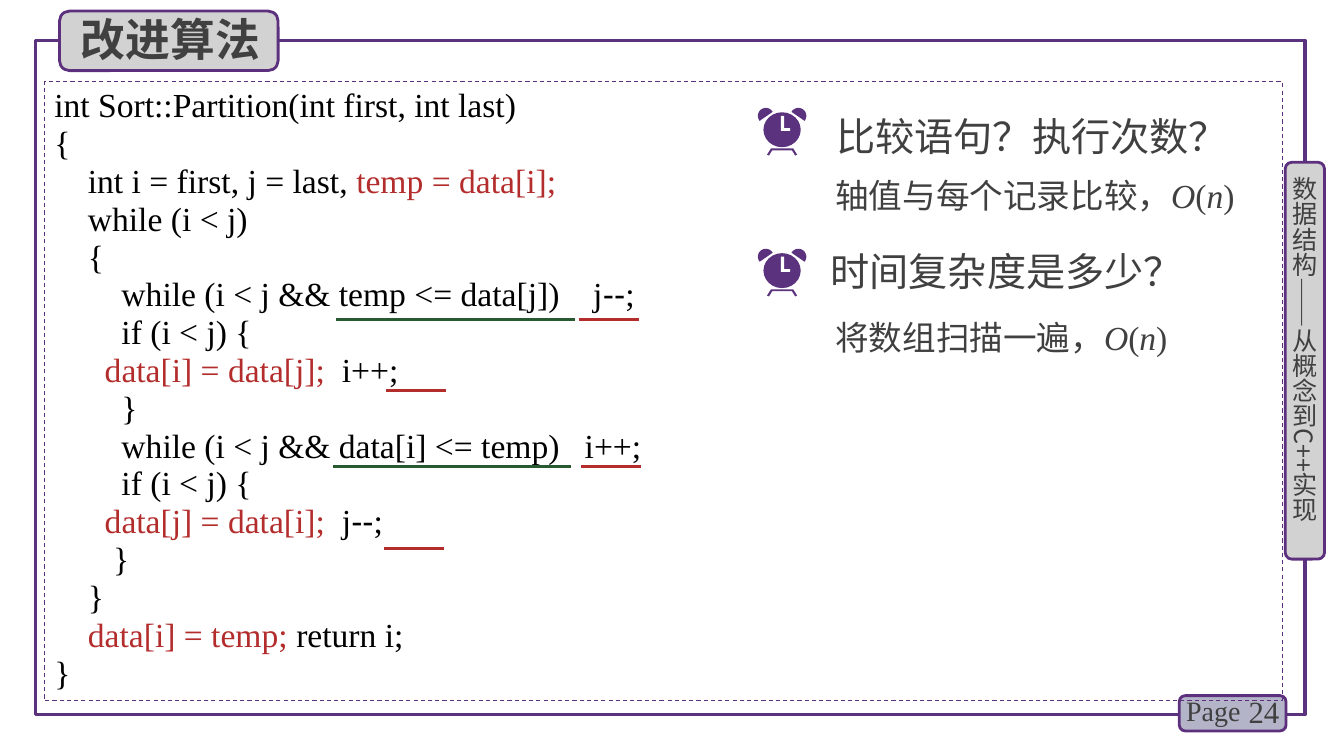
from math import cos, radians, sin
from lxml import etree
from pptx import Presentation
from pptx.dml.color import RGBColor
from pptx.enum.dml import MSO_LINE
from pptx.enum.shapes import MSO_CONNECTOR, MSO_SHAPE
from pptx.enum.text import MSO_ANCHOR, MSO_AUTO_SIZE, PP_ALIGN
from pptx.oxml.ns import qn
from pptx.util import Cm, Pt

PURPLE = RGBColor(0x5A, 0x32, 0x7D)
EDGE = RGBColor(0x5C, 0x30, 0x7D)
GREY = RGBColor(0xD2, 0xD2, 0xD2)
LILAC = RGBColor(0xB4, 0xB4, 0xC8)
INK = RGBColor(0x40, 0x40, 0x40)
BLACK = RGBColor(0, 0, 0)
RED = RGBColor(0xB4, 0x2D, 0x2D)
GREEN = RGBColor(0x28, 0x5A, 0x32)
WHITE = RGBColor(0xFF, 0xFF, 0xFF)
SERIF, SANS, CJK = "Times New Roman", "Arial", "Noto Sans CJK SC"

TITLE = "改进算法"
SPINE = "数据结构——从概念到C++实现"
CODE = [
    [("int Sort::Partition(int first, int last)", BLACK)],
    [("{", BLACK)],
    [("    int i = first, j = last, ", BLACK), ("temp = data[i];", RED)],
    [("    while (i < j)", BLACK)],
    [("    {", BLACK)],
    [("        while (i < j && temp <= data[j])    j--;", BLACK)],
    [("        if (i < j) {", BLACK)],
    [("\t", BLACK), ("data[i] = data[j];  ", RED), ("i++;", BLACK)],
    [("        }", BLACK)],
    [("        while (i < j && data[i] <= temp)   i++;", BLACK)],
    [("        if (i < j) {", BLACK)],
    [("\t", BLACK), ("data[j] = data[i];  ", RED), ("j--;", BLACK)],
    [("       }", BLACK)],
    [("    }", BLACK)],
    [("    ", BLACK), ("data[i] = temp; ", RED), ("return i;", BLACK)],
    [("}", BLACK)],
]
# text, box, font, line spacing
QUESTIONS = [
    ("比较语句？执行次数？", (20.83, 2.34, 10.34, 1.8), CJK, 1.3),
    ("时间复杂度是多少？", (20.68, 6.1, 10.08, 1.45), SERIF, 1),
]
ANSWERS = [("轴值与每个记录比较，", 4.29), ("将数组扫描一遍，", 7.85)]
ORDER = "O(n)"
CLOCK_X, CLOCK_TOPS = 19.71, (2.72, 6.27)
# left, y, length, colour
UNDERLINES = [
    (14.6, 8.05, 1.5, RED), (14.65, 11.76, 1.5, RED),
    (9.73, 9.83, 1.5, RED), (9.68, 13.82, 1.5, RED),
    (8.48, 8.05, 6, GREEN), (8.4, 11.76, 6, GREEN),
]

# Clock outlines in cm from the top centre of the clock
BELL = [(-0.41 + 0.2 * cos(radians(a)), 0.2 + 0.2 * sin(radians(a)))
        for a in range(141, 331, 9)]
LEGS = [(-0.38, 1.18), (-0.28, 1.02), (0.28, 1.02), (0.38, 1.18),
        (0.33, 1.2), (0.25, 1.07), (-0.25, 1.07), (-0.33, 1.2)]
HANDS = [(-0.03, 0.2), (0.05, 0.2), (0.05, 0.51), (0.2, 0.51),
         (0.2, 0.58), (-0.03, 0.58)]


def cms(box):
    return [Cm(v) for v in box]


def paint(sp, fill=None, line=None, width=2.0):
    sp.shadow.inherit = False
    if fill is None:
        sp.fill.background()
    else:
        sp.fill.solid()
        sp.fill.fore_color.rgb = fill
    if line is None:
        sp.line.fill.background()
    else:
        sp.line.color.rgb = line
        sp.line.width = Pt(width)
    return sp


def add_panel(kind, box, fill=None, line=None, width=2.0):
    return paint(s.shapes.add_shape(kind, *cms(box)), fill, line, width)


def add_run(p, text, size, font=SERIF, color=INK, bold=False, italic=False):
    r = p.add_run()
    r.text = text
    f = r.font
    f.size, f.name, f.bold, f.italic = Pt(size), font, bold, italic
    f.color.rgb = color
    etree.SubElement(f._element, qn("a:ea")).set("typeface", CJK)


def add_text(box, text, size, font=SERIF):
    tf = s.shapes.add_textbox(*cms(box)).text_frame
    tf.word_wrap = True
    add_run(tf.paragraphs[0], text, size, font)
    return tf


def add_outline(points, top, fill, side=1):
    """Draw a closed clock part; side -1 mirrors it."""
    xy = [(Cm(CLOCK_X + side * x), Cm(top + y)) for x, y in points]
    fb = s.shapes.build_freeform(*xy[0])
    fb.add_line_segments(xy[1:], close=True)
    paint(fb.convert_to_shape(), fill)


def add_clock(top):
    add_outline(LEGS, top, PURPLE)
    for side in (1, -1):
        add_outline(BELL, top, PURPLE, side)
    add_panel(MSO_SHAPE.OVAL, (CLOCK_X - 0.47, top + 0.11, 0.94, 0.88), PURPLE)
    add_outline(HANDS, top, WHITE)


def add_code(sp):
    tf = sp.text_frame
    tf.word_wrap = True
    tf.vertical_anchor = MSO_ANCHOR.TOP
    for i, line in enumerate(CODE):
        p = tf.add_paragraph() if i else tf.paragraphs[0]
        p.alignment = PP_ALIGN.LEFT
        p.line_spacing = Pt(27)
        for text, color in line:
            for part in filter(None, text.partition("--")):
                add_run(p, part, 24, SANS if part == "--" else SERIF, color)


prs = Presentation()
prs.slide_width, prs.slide_height = Cm(33.87), Cm(19.05)
s = prs.slides.add_slide(prs.slide_layouts[5])

# Frame, page number and spine
add_panel(MSO_SHAPE.RECTANGLE, (0.89, 1.02, 32, 16.99), None, PURPLE, 2.25)
add_panel(MSO_SHAPE.ROUNDED_RECTANGLE, (29.72, 17.53, 2.69, 0.89), LILAC, EDGE)
tf = add_text((30.99, 17.42, 1.5, 1.02), "24", 22)
tf.vertical_anchor = MSO_ANCHOR.MIDDLE
tf.paragraphs[0].alignment = PP_ALIGN.RIGHT
add_text((29.64, 17.35, 1.98, 1.12), "Page", 20)
add_panel(MSO_SHAPE.ROUNDED_RECTANGLE, (32.39, 4.09, 0.99, 10), GREY, EDGE)
tf = add_text((32.49, 4.45, 0.76, 9.6), SPINE, 18, CJK)
tf.margin_left = tf.margin_right = tf.margin_top = tf.margin_bottom = 0
tf._txBody.bodyPr.set("vert", "eaVert")

# Title on its badge
add_panel(MSO_SHAPE.ROUNDED_RECTANGLE, (1.5, 0.28, 5.51, 1.5), GREY, EDGE)
title = s.shapes.title
title.left, title.top, title.width, title.height = cms((1.78, 0.18, 5.38, 1.63))
title.element.getparent().append(title.element)
tf = title.text_frame
tf.auto_size = MSO_AUTO_SIZE.NONE
tf.vertical_anchor = MSO_ANCHOR.TOP
tf.paragraphs[0].alignment = PP_ALIGN.LEFT
add_run(tf.paragraphs[0], TITLE, 32, CJK, bold=True)

# Code
code = add_panel(MSO_SHAPE.RECTANGLE, (1.12, 2.06, 31.19, 15.6), None, EDGE, 0.75)
code.line.dash_style = MSO_LINE.DASH
add_code(code)
for x, y, length, color in UNDERLINES:
    c = s.shapes.add_connector(MSO_CONNECTOR.STRAIGHT, *cms((x, y, x + length, y)))
    c.line.color.rgb = color
    c.line.width = Pt(2.25)
    etree.SubElement(c.element.spPr, qn("a:effectLst"))

# Questions and answers
for (text, box, font, spacing), top in zip(QUESTIONS, CLOCK_TOPS):
    add_text(box, text, 28, font).paragraphs[0].line_spacing = spacing
    add_clock(top)
for text, top in ANSWERS:
    p = add_text((20.8, top, 10.9, 1.27), text, 24).paragraphs[0]
    for ch in ORDER:
        add_run(p, ch, 24, italic=ch.isalpha())

prs.save("out.pptx")
